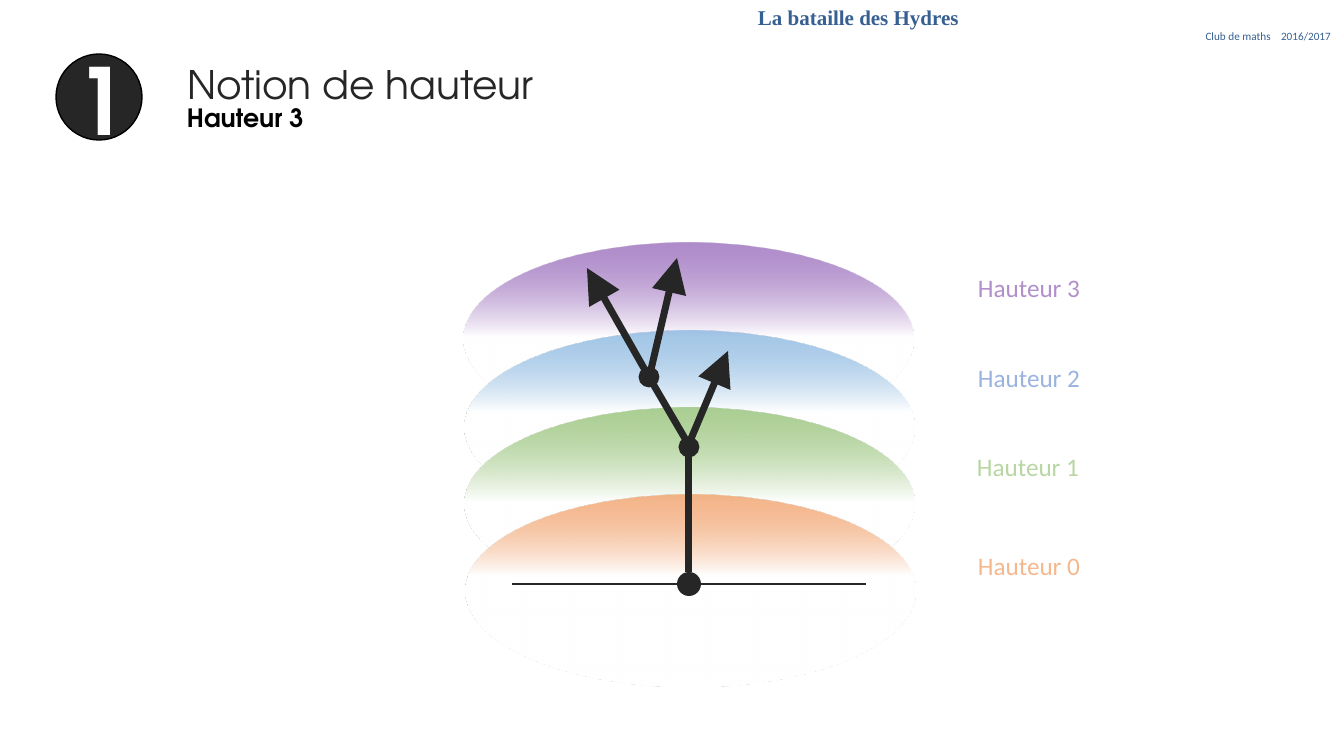
from lxml.etree import SubElement
from pptx import Presentation
from pptx.dml.color import RGBColor
from pptx.enum.shapes import MSO_CONNECTOR, MSO_SHAPE
from pptx.enum.text import MSO_ANCHOR, MSO_AUTO_SIZE, PP_ALIGN
from pptx.oxml.ns import qn
from pptx.util import Pt

PX = 9144000 / 1008
COLORS = {
    "ink": "262626", "black": "000000", "white": "FFFFFF", "header": "376092",
    "purple": "7030A0", "blue": "5B9BD5", "green": "70AD47", "orange": "ED7D31",
    "purple text": "B18FCB", "blue text": "9AB3DF",
    "green text": "B8D6A3", "orange text": "F5B88E",
}
RGB = {name: RGBColor.from_string(value) for name, value in COLORS.items()}
ADVENTOR = "TeX Gyre Adventor"


def px(*lengths):
    return [round(n * PX) for n in lengths]


def add_run(p, text, font, size, color, bold=False):
    r = p.add_run()
    r.text = text
    for key, value in {"name": font, "size": Pt(size), "bold": bold}.items():
        setattr(r.font, key, value)
    r.font.color.rgb = RGB[color]
    return r


prs = Presentation()
prs.slide_width, prs.slide_height = px(1344, 756)
s = prs.slides.add_slide(prs.slide_layouts[5])
shapes = s.shapes

# Height levels, back to front: number, colour, ellipse x and y, white stop, opacity, label x and y
levels = [
    (3, "purple", 464, 243, 51, 55, 968, 267),
    (2, "blue", 465, 331, 58, 55, 968, 357),
    (1, "green", 465, 408, 51, 58, 967, 446),
    (0, "orange", 466, 495, 58, 56, 968, 545),
]
texts = []
for number, color, x, y, white_stop, opacity, label_x, label_y in levels:
    sp = shapes.add_shape(MSO_SHAPE.OVAL, *px(x, y, 449, 192))
    sp.shadow.inherit = False
    sp.line.fill.background()
    sp.fill.gradient()
    sp.fill.gradient_angle = 90
    stops = zip(sp.fill.gradient_stops, ((white_stop, "white"), (100, color)))
    for stop, (position, stop_color) in stops:
        stop.position = position / 100
        stop.color.rgb = RGB[stop_color]
    tint = list(sp.element.spPr.iter(qn("a:srgbClr")))[-1]
    SubElement(tint, qn("a:alpha")).set("val", str(opacity * 1000))
    texts.append((f"Hauteur {number}", (label_x, label_y, 165, 40),
                  "Calibri", 18, f"{color} text", False))

# Hydra: ground line, trunk and branches
root = shapes.add_shape(MSO_SHAPE.OVAL, *px(677, 572, 24, 24))
badge = shapes.add_shape(MSO_SHAPE.OVAL, *px(56, 54, 86, 86))
for disc in (root, badge):
    disc.shadow.inherit = False
    disc.fill.solid()
    disc.fill.fore_color.rgb = RGB["ink"]
root.line.fill.background()
badge.line.color.rgb = RGB["black"]
badge.line.width = Pt(1)

tips = {
    "node": {"type": "oval"},
    "head": {"type": "triangle", "w": "lg", "len": "lg"},
}
segments = [
    ((512, 584, 866, 584), 1.5, None),
    ((689, 572, 689, 447), 5, "node"),
    ((690, 447, 649, 377), 5, "node"),
    ((649, 377, 587, 268), 5, "head"),
    ((650, 374, 677, 258), 5, "head"),
    ((688, 446, 728, 351), 5, "head"),
]
for ends, width, tip in segments:
    line = shapes.add_connector(MSO_CONNECTOR.STRAIGHT, *px(*ends))
    line.line.color.rgb = RGB["ink"]
    line.line.width = Pt(width)
    spPr = line.element.spPr
    if tip:
        SubElement(spPr.find(qn("a:ln")), qn("a:tailEnd"), tips[tip])
    SubElement(spPr, qn("a:effectLst"))

# Title, subtitle, badge number and level labels
title = shapes.title
title.left, title.top, title.width, title.height = px(177, 55, 415, 57)
tf = title.text_frame
for key, value in {"auto_size": MSO_AUTO_SIZE.NONE, "word_wrap": True,
                   "vertical_anchor": MSO_ANCHOR.TOP}.items():
    setattr(tf, key, value)
tf.paragraphs[0].alignment = PP_ALIGN.LEFT
add_run(tf.paragraphs[0], "Notion de hauteur", ADVENTOR, 28, "ink")

texts += [
    ("Hauteur 3", (177, 97, 460, 40), ADVENTOR, 18, "black", True),
    ("1", (66, 38, 60, 88), ADVENTOR, 66, "white", True),
]
for text, box, *style in texts:
    label = shapes.add_textbox(*px(*box))
    label.text_frame.word_wrap = True
    add_run(label.text_frame.paragraphs[0], text, *style)
shapes.add_group_shape([badge, label])

# Header
header = shapes.add_textbox(*px(751, -3, 587, 53))
tf = header.text_frame
margins = dict(zip(("margin_left", "margin_top", "margin_right", "margin_bottom"),
                   px(7, 4, 7, 4)))
for key, value in {"word_wrap": True, "vertical_anchor": MSO_ANCHOR.MIDDLE,
                   **margins}.items():
    setattr(tf, key, value)
add_run(tf.paragraphs[0], "La bataille des Hydres", "Times New Roman", 15, "header", True)
p = tf.add_paragraph()
p.alignment = PP_ALIGN.RIGHT
add_run(p, "Club de maths", "Calibri", 8, "header")
gap = add_run(p, " ", "Calibri", 8, "header")
gap.font._element.set("spc", "540")
add_run(p, "2016/2017", "Calibri", 8, "header")

prs.save("out.pptx")
